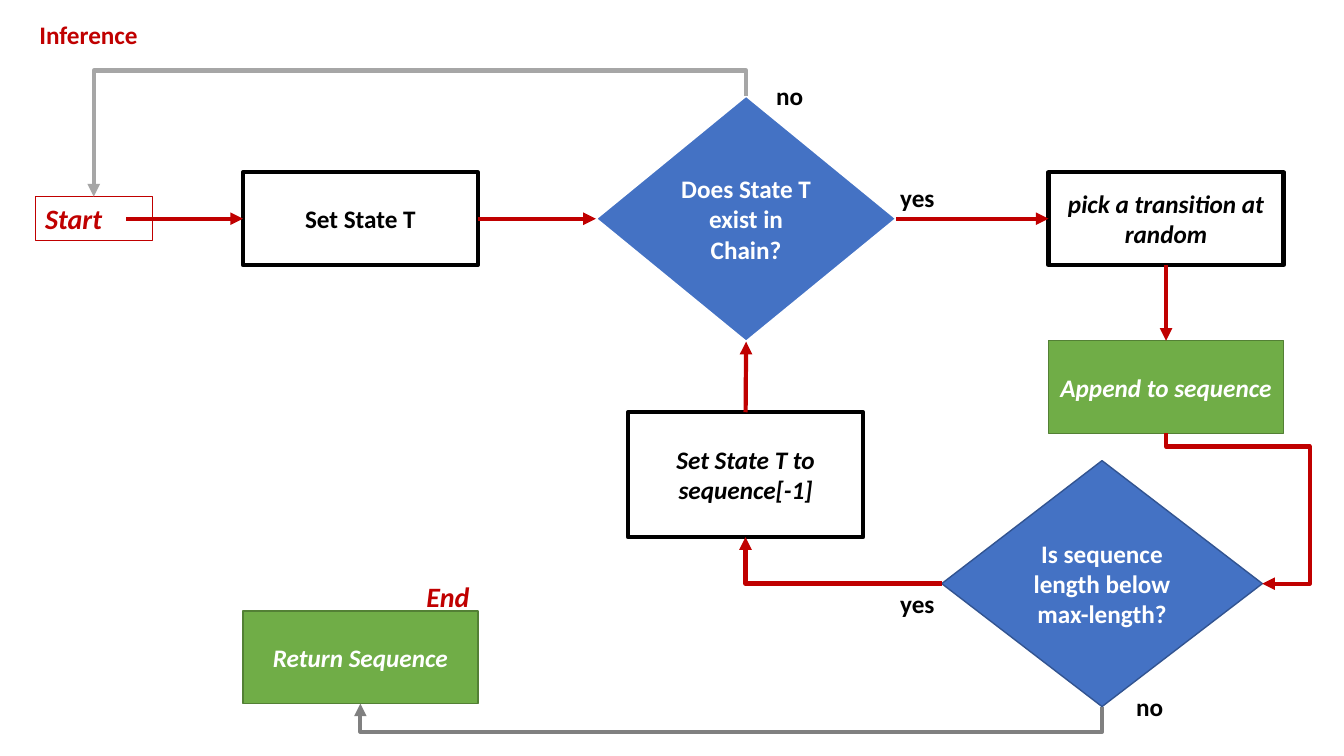
"""Build a flowchart slide of inference with a Markov chain."""
import dataclasses

import lxml.etree
import pptx
import pptx.dml.color
import pptx.enum.shapes
import pptx.enum.text
import pptx.oxml.ns
import pptx.util

PX = 9144
SHAPES = pptx.enum.shapes.MSO_SHAPE
CONNECTORS = pptx.enum.shapes.MSO_CONNECTOR
ALIGN = pptx.enum.text.PP_ALIGN
ANCHOR = pptx.enum.text.MSO_ANCHOR
AUTO_SIZE = pptx.enum.text.MSO_AUTO_SIZE
TOP, LEFT, BOTTOM, RIGHT = range(4)
STEP_WIDTH, STEP_HEIGHT = 233, 92


@dataclasses.dataclass(frozen=True)
class Theme:
    """Colours, font and sizes of the slide."""
    font: str = "Calibri"
    body: int = 18
    terminal: int = 20
    thick: float = 3
    red: str = "C00000"
    black: str = "000000"
    white: str = "FFFFFF"
    blue: str = "4472C4"
    dark_blue: str = "325491"
    green: str = "70AD47"
    dark_green: str = "538035"
    light_gray: str = "A6A6A6"
    gray: str = "808080"


@dataclasses.dataclass(frozen=True)
class Box:
    """A rectangle in px."""
    left: int
    top: int
    width: int
    height: int

    def inner(self, left, top, width, height):
        """Return a box placed relative to this one."""
        return Box(self.left + left, self.top + top, width, height)

    def emu(self):
        """Return the four lengths in EMU."""
        return [value * PX for value in dataclasses.astuple(self)]


THEME = Theme()
STEP = (THEME.white, THEME.black, THEME.thick)
OUTPUT = (THEME.green, THEME.dark_green, 1)
CHECK = (THEME.blue, THEME.white, 1.5)
LENGTH_CHECK = (THEME.blue, THEME.dark_blue, 1)
TERMINAL = (None, THEME.red, 0.75)


def rgb(color):
    """Return a colour object for a hex string."""
    return pptx.dml.color.RGBColor.from_string(color)


def write(shape, text, color, size=THEME.body, italic=False, align=ALIGN.LEFT, anchor=ANCHOR.TOP):
    """Set and format the text of a shape."""
    frame = shape.text_frame
    frame.text = text
    frame.word_wrap = True
    frame.vertical_anchor = anchor
    frame.auto_size = AUTO_SIZE.NONE if anchor == ANCHOR.MIDDLE else AUTO_SIZE.SHAPE_TO_FIT_TEXT
    paragraph = frame.paragraphs[0]
    paragraph.alignment = align
    font = paragraph.runs[0].font
    font.name, font.size = THEME.font, pptx.util.Pt(size)
    font.bold, font.italic = True, italic
    font.color.rgb = rgb(color)


def add_outline(slide, box, kind, style):
    """Add a preset shape with its fill and line."""
    fill, line, weight = style
    shape = slide.shapes.add_shape(kind, *box.emu())
    shape.shadow.inherit = False
    if fill:
        shape.fill.solid()
        shape.fill.fore_color.rgb = rgb(fill)
    else:
        shape.fill.background()
    shape.line.color.rgb = rgb(line)
    shape.line.width = pptx.util.Pt(weight)
    return shape


def add_node(slide, box, text, style, kind=SHAPES.RECTANGLE, italic=False):
    """Add a flowchart node with centred text."""
    shape = add_outline(slide, box, kind, style)
    color = THEME.black if style is STEP else THEME.white
    write(shape, text, color, italic=italic, align=ALIGN.CENTER, anchor=ANCHOR.MIDDLE)
    return shape


def add_label(slide, box, text, color=THEME.black, size=THEME.body, italic=False):
    """Add a free text label."""
    write(slide.shapes.add_textbox(*box.emu()), text, color, size, italic)


def format_arrow(connector, color):
    """Give a connector its colour, arrowhead and no shadow."""
    connector.line.color.rgb = rgb(color)
    connector.line.width = pptx.util.Pt(THEME.thick)
    qn = pptx.oxml.ns.qn
    line = connector.element.spPr.find(qn("a:ln"))
    lxml.etree.SubElement(line, qn("a:tailEnd"), type="triangle")
    lxml.etree.SubElement(connector.element.spPr, qn("a:effectLst"))


def add_arrow(slide, source, source_site, target, target_site, color=THEME.red, kind=CONNECTORS.STRAIGHT):
    """Join two nodes with an arrow."""
    connector = slide.shapes.add_connector(kind, 0, 0, 0, 0)
    connector.begin_connect(source, source_site)
    connector.end_connect(target, target_site)
    format_arrow(connector, color)
    return connector


def add_bent_arrow(slide, source, source_site, target, target_site, color=THEME.red, turn_y=None, turn_x=None):
    """Join two nodes with a bent arrow that turns at the given px positions."""
    connector = add_arrow(slide, source, source_site, target, target_site, color, CONNECTORS.ELBOW)
    start_x, start_y = connector.begin_x, connector.begin_y
    across, down = connector.end_x - start_x, connector.end_y - start_y
    vertical = source_site in (TOP, BOTTOM)
    width, height = (abs(down), abs(across)) if vertical else (abs(across), abs(down))
    connector.left = int(start_x + (across - width) / 2)
    connector.top = int(start_y + (down - height) / 2)
    connector.width, connector.height = width, height
    qn = pptx.oxml.ns.qn
    frame = connector.element.spPr.find(qn("a:xfrm"))
    flips = (down < 0, across > 0) if vertical else (across < 0, down < 0)
    frame.set("rot", "5400000" if vertical else "0")
    for name, flip in zip(("flipH", "flipV"), flips):
        frame.set(name, str(int(flip)))
    turns = []
    if turn_y is not None:
        turns.append((turn_y * PX - start_y) / down)
    if turn_x is not None:
        turns.append((turn_x * PX - start_x) / across)
    geometry = connector.element.spPr.find(qn("a:prstGeom"))
    geometry.set("prst", f"bentConnector{2 + len(turns)}")
    guides = geometry.find(qn("a:avLst"))
    for number, turn in enumerate(turns, 1):
        lxml.etree.SubElement(guides, qn("a:gd"), name=f"adj{number}", fmla=f"val {round(turn * 100000)}")


def add_title(slide, box):
    """Place and format the title."""
    title = slide.shapes.title
    title.left, title.top, title.width, title.height = box.emu()
    write(title, "Inference", THEME.red)


def add_lookup_row(slide, box):
    """Draw the start, the state step and the chain check."""
    start = add_outline(slide, box.inner(0, 100, 116, 44), SHAPES.RECTANGLE, TERMINAL)
    write(start, "Start", THEME.red, THEME.terminal, italic=True)
    set_state = add_node(slide, box.inner(206, 76, STEP_WIDTH, STEP_HEIGHT), "Set State T", STEP)
    check = add_node(slide, box.inner(556, 0, 298, 244), "Does State T exist in Chain?", CHECK, SHAPES.DIAMOND)
    entry = slide.shapes.add_connector(CONNECTORS.STRAIGHT, (box.left + 90) * PX, (box.top + 122) * PX, 0, 0)
    entry.end_connect(set_state, LEFT)
    format_arrow(entry, THEME.red)
    add_arrow(slide, set_state, RIGHT, check, LEFT)
    add_bent_arrow(slide, check, TOP, start, TOP, THEME.light_gray, turn_y=box.top - 25)
    add_label(slide, box.inner(725, -20, 66, 40), "no")
    add_label(slide, box.inner(848, 81, 66, 40), "yes")
    return check


def add_extension_column(slide, box):
    """Draw the transition, the append step and the length check."""
    pick, append = [
        add_node(slide, box.inner(106, top, STEP_WIDTH, STEP_HEIGHT), text, style, italic=True)
        for top, text, style in ((0, "pick a transition at random", STEP), (167, "Append to sequence", OUTPUT))
    ]
    check = add_node(slide, box.inner(0, 286, 318, 244), "Is sequence length below max-length?",
                     LENGTH_CHECK, SHAPES.DIAMOND)
    add_arrow(slide, pick, BOTTOM, append, TOP)
    add_bent_arrow(slide, append, BOTTOM, check, RIGHT, turn_y=box.top + 272, turn_x=box.left + 365)
    add_label(slide, box.inner(-51, 408, 66, 40), "yes")
    add_label(slide, box.inner(183, 510, 54, 40), "no")
    return pick, check


def add_outcomes(slide, box, chain_check, length_check):
    """Draw the loop back to the chain check and the returned result."""
    update = add_node(slide, box.inner(382, 0, STEP_WIDTH, 124), "Set State T to sequence[-1]", STEP, italic=True)
    result = add_node(slide, box.inner(0, 197, STEP_WIDTH, STEP_HEIGHT), "Return Sequence", OUTPUT, italic=True)
    add_arrow(slide, update, TOP, chain_check, BOTTOM)
    add_bent_arrow(slide, length_check, LEFT, update, BOTTOM)
    add_bent_arrow(slide, length_check, BOTTOM, result, BOTTOM, THEME.gray, turn_y=box.top + 317)
    add_label(slide, box.inner(172, 161, 69, 44), "End", THEME.red, THEME.terminal, italic=True)


def main():
    """Build and save the presentation."""
    presentation = pptx.Presentation()
    presentation.slide_width, presentation.slide_height = 1333 * PX, 750 * PX
    slide = presentation.slides.add_slide(presentation.slide_layouts[5])
    add_title(slide, Box(29, 14, 281, 40))
    chain_check = add_lookup_row(slide, Box(35, 95, 854, 244))
    pick, length_check = add_extension_column(slide, Box(934, 171, 365, 530))
    add_arrow(slide, chain_check, RIGHT, pick, LEFT)
    add_outcomes(slide, Box(241, 409, 615, 317), chain_check, length_check)
    presentation.save("out.pptx")


if __name__ == "__main__":
    main()
